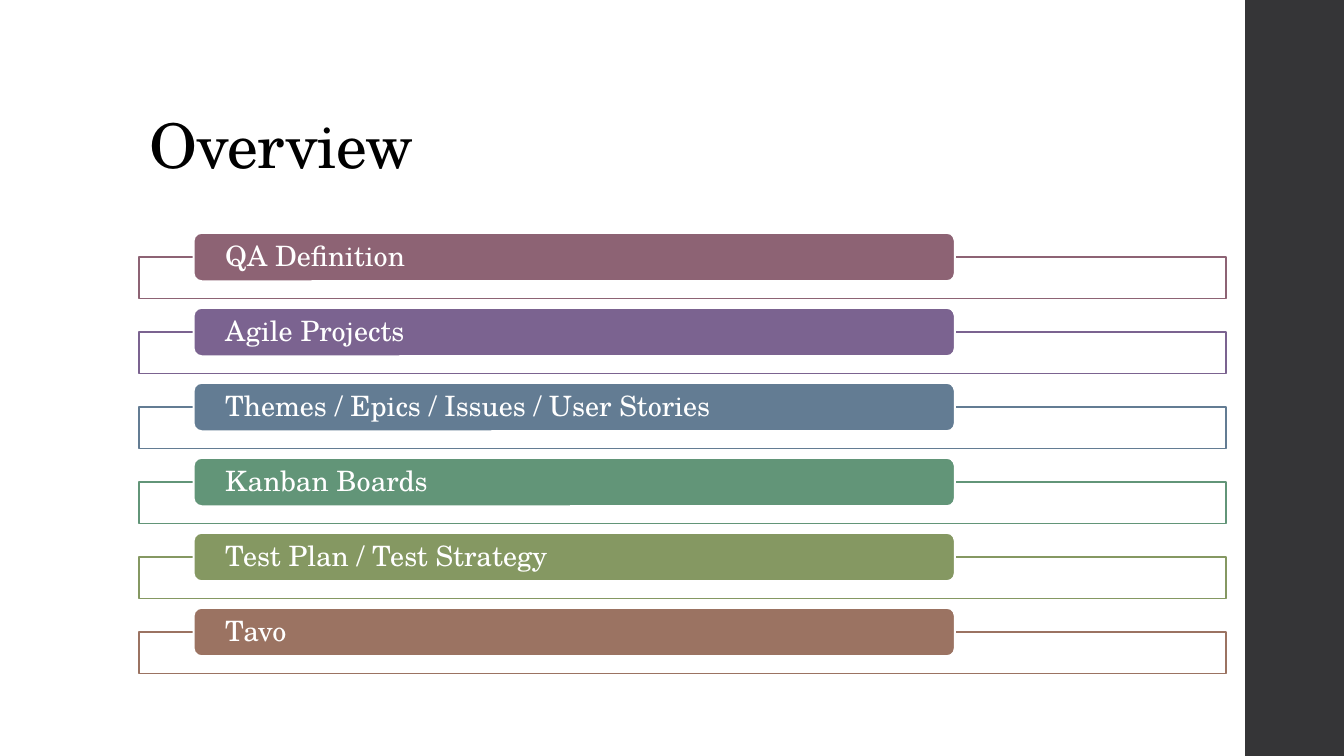
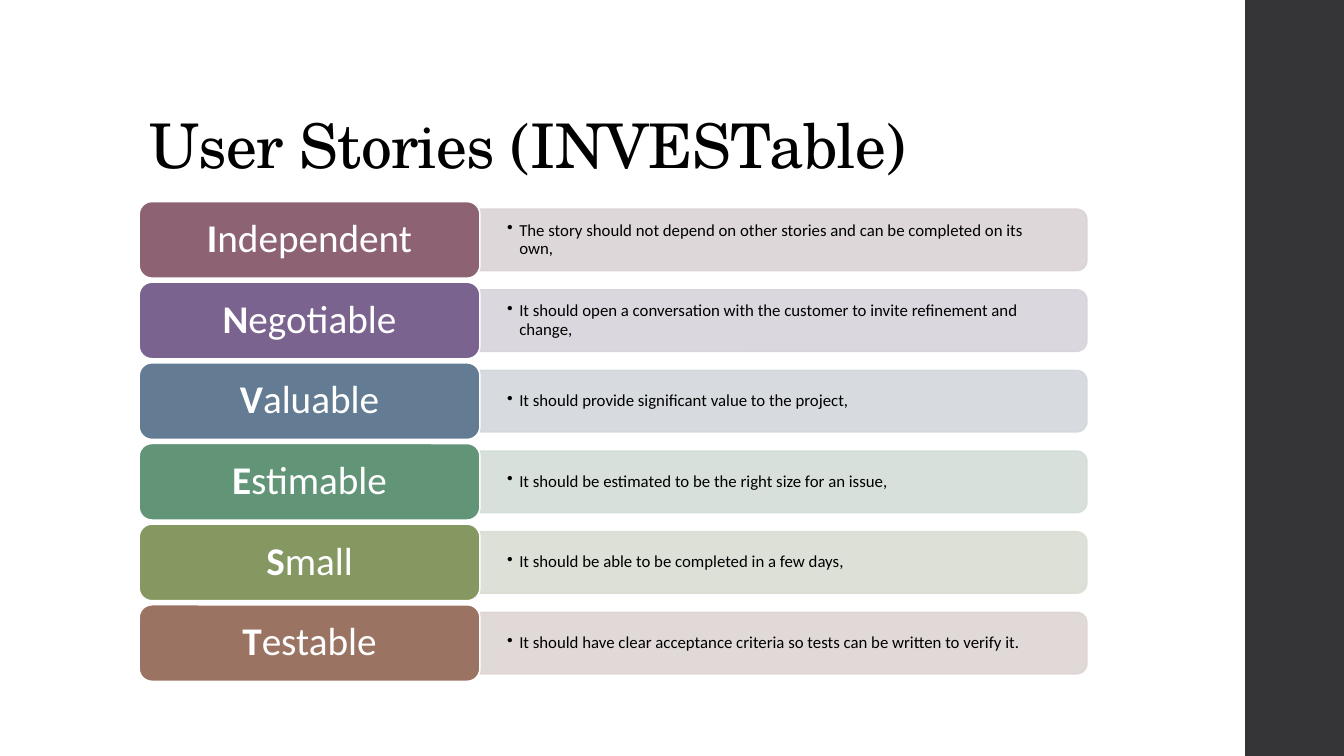
from lxml import etree
from pptx import Presentation
from pptx import util as u
from pptx.dml.color import RGBColor
from pptx.enum import shapes, text
from pptx.oxml.ns import qn

COLORS = {
    "plum": "8D6374", "violet": "7B6390", "blue": "637C93",
    "green": "629578", "olive": "859862", "brown": "9B7362",
    "plum tint": "DBD3D6", "violet tint": "D8D3DB", "blue tint": "D3D8DC",
    "green tint": "D3DDD7", "olive tint": "DADDD3", "brown tint": "DED5D3",
    "band": "353537", "white": "FFFFFF", "black": "000000",
}
ACCENTS = ["plum", "violet", "blue", "green", "olive", "brown"]
SERIF, SANS = "TeX Gyre Schola", "Calibri"

TOPICS = [
    "QA Definition",
    "Agile Projects",
    "Themes / Epics / Issues / User Stories",
    "Kanban Boards",
    "Test Plan / Test Strategy",
    "Tavo",
]
QUALITIES = [
    ("Independent", "The story should not depend on other stories and can be completed on its own,"),
    ("Negotiable", "It should open a conversation with the customer to invite refinement and change,"),
    ("Valuable", "It should provide significant value to the project,"),
    ("Estimable", "It should be estimated to be the right size for an issue,"),
    ("Small", "It should be able to be completed in a few days,"),
    ("Testable", "It should have clear acceptance criteria so tests can be written to verify it."),
]

EMU_PER_PX = 9144  # 100 px to the inch
SLIDE_WIDTH, SLIDE_HEIGHT = 1333, 750
LEFT = 138
TITLE_TOP, TITLE_WIDTH, TITLE_HEIGHT = 40, 1078, 145
BAND_LEFT = 1235

FRAME_TOP, LAST_FRAME_TOP, FRAME_HEIGHT = 255, 627, 41
BAR_LEFT, BAR_RISE, BAR_WIDTH, BAR_HEIGHT = 192, 24, 755, 48

CARD_TOP, CARD_PITCH, CARD_WIDTH, CARD_HEIGHT = 200, 80, 338, 76
PANEL_WIDTH, PANEL_HEIGHT, NOTE_WIDTH, NOTE_HEIGHT = 602, 61, 599, 55


def px(value):
    return u.Emu(round(value * EMU_PER_PX))


def paint(color_format, color, opacity=100):
    color_format.rgb = RGBColor.from_string(COLORS[color])
    return opacity


def add_box(slide, kind, box, fill, line=None, line_width=1.1, opacity=100):
    shape = slide.shapes.add_shape(kind, *map(px, box))
    shape.shadow.inherit = False
    shape.fill.solid()
    paint(shape.fill.fore_color, fill)
    if line:
        shape.line.width = u.Pt(line_width)
        paint(shape.line.color, line)
    else:
        shape.line.fill.background()
    if opacity < 100:
        for color in shape._element.spPr.iter(qn("a:srgbClr")):
            etree.SubElement(color, qn("a:alpha"), val=str(opacity * 1000))
    return shape


def set_text(shape, parts, size, font, color, align=text.PP_ALIGN.LEFT,
             anchor=text.MSO_ANCHOR.MIDDLE, insets=(10, 5)):
    """Write one paragraph from (words, bold) parts and return it."""
    frame = shape.text_frame
    frame.word_wrap = True
    frame.vertical_anchor = anchor
    frame.margin_left = frame.margin_right = px(insets[0])
    frame.margin_top = frame.margin_bottom = px(insets[1])
    paragraph = frame.paragraphs[0]
    paragraph.alignment = align
    paragraph.line_spacing = 0.9
    for words, bold in parts:
        run = paragraph.add_run()
        run.text = words
        run.font.name, run.font.size, run.font.bold = font, u.Pt(size), bold
        paint(run.font.color, color)
    return paragraph


def add_bullet(paragraph, indent):
    properties = paragraph._p.get_or_add_pPr()
    properties.set("marL", str(px(indent)))
    properties.set("indent", str(-px(indent)))
    etree.SubElement(properties, qn("a:buChar"), char="•")


def add_titled_slide(presentation, title):
    slide = presentation.slides.add_slide(presentation.slide_layouts[6])
    add_box(slide, shapes.MSO_SHAPE.RECTANGLE,
            (BAND_LEFT, 0, SLIDE_WIDTH - BAND_LEFT, SLIDE_HEIGHT), "band")
    title_box = slide.shapes.add_textbox(
        *map(px, (LEFT, TITLE_TOP, TITLE_WIDTH, TITLE_HEIGHT)))
    paragraph = set_text(title_box, [(title, False)], 44, SERIF, "black",
                         anchor=text.MSO_ANCHOR.BOTTOM)
    paragraph.runs[0]._r.get_or_add_rPr().set("spc", "-50")
    return slide


def add_topic(slide, top, topic, accent):
    add_box(slide, shapes.MSO_SHAPE.RECTANGLE,
            (LEFT, top, TITLE_WIDTH, FRAME_HEIGHT), "white", accent)
    bar = add_box(slide, shapes.MSO_SHAPE.ROUNDED_RECTANGLE,
                  (BAR_LEFT, top - BAR_RISE, BAR_WIDTH, BAR_HEIGHT),
                  accent, "white", 1.35)
    set_text(bar, [(topic, False)], 20, SERIF, "white", insets=(29, 0))


def add_quality(slide, top, name, description, accent):
    middle = top + CARD_HEIGHT / 2
    panel_left = LEFT + CARD_WIDTH
    # Turned a quarter, so that the rounded corners face right
    panel = add_box(slide, shapes.MSO_SHAPE.ROUND_2_SAME_RECTANGLE,
                    (panel_left + (PANEL_WIDTH - PANEL_HEIGHT) / 2,
                     middle - PANEL_WIDTH / 2, PANEL_HEIGHT, PANEL_WIDTH),
                    f"{accent} tint", f"{accent} tint", opacity=90)
    panel.rotation = 90
    note = slide.shapes.add_textbox(
        *map(px, (panel_left, middle - NOTE_HEIGHT / 2, NOTE_WIDTH, NOTE_HEIGHT)))
    paragraph = set_text(note, [(description, False)], 12, SANS, "black",
                         insets=(27, 14))
    add_bullet(paragraph, 12)
    card = add_box(slide, shapes.MSO_SHAPE.ROUNDED_RECTANGLE,
                   (LEFT, top, CARD_WIDTH, CARD_HEIGHT), accent, "white")
    set_text(card, [(name[0], True), (name[1:], False)], 28, SANS, "white",
             align=text.PP_ALIGN.CENTER, insets=(12, 6))


def main():
    presentation = Presentation()
    presentation.slide_width = px(SLIDE_WIDTH)
    presentation.slide_height = px(SLIDE_HEIGHT)

    overview = add_titled_slide(presentation, "Overview")
    pitch = (LAST_FRAME_TOP - FRAME_TOP) / (len(TOPICS) - 1)
    for row, (topic, accent) in enumerate(zip(TOPICS, ACCENTS)):
        add_topic(overview, FRAME_TOP + row * pitch, topic, accent)

    stories = add_titled_slide(presentation, "User Stories (INVESTable)")
    for row, ((name, description), accent) in enumerate(zip(QUALITIES, ACCENTS)):
        add_quality(stories, CARD_TOP + row * CARD_PITCH, name, description, accent)

    presentation.save("out.pptx")


if __name__ == "__main__":
    main()
